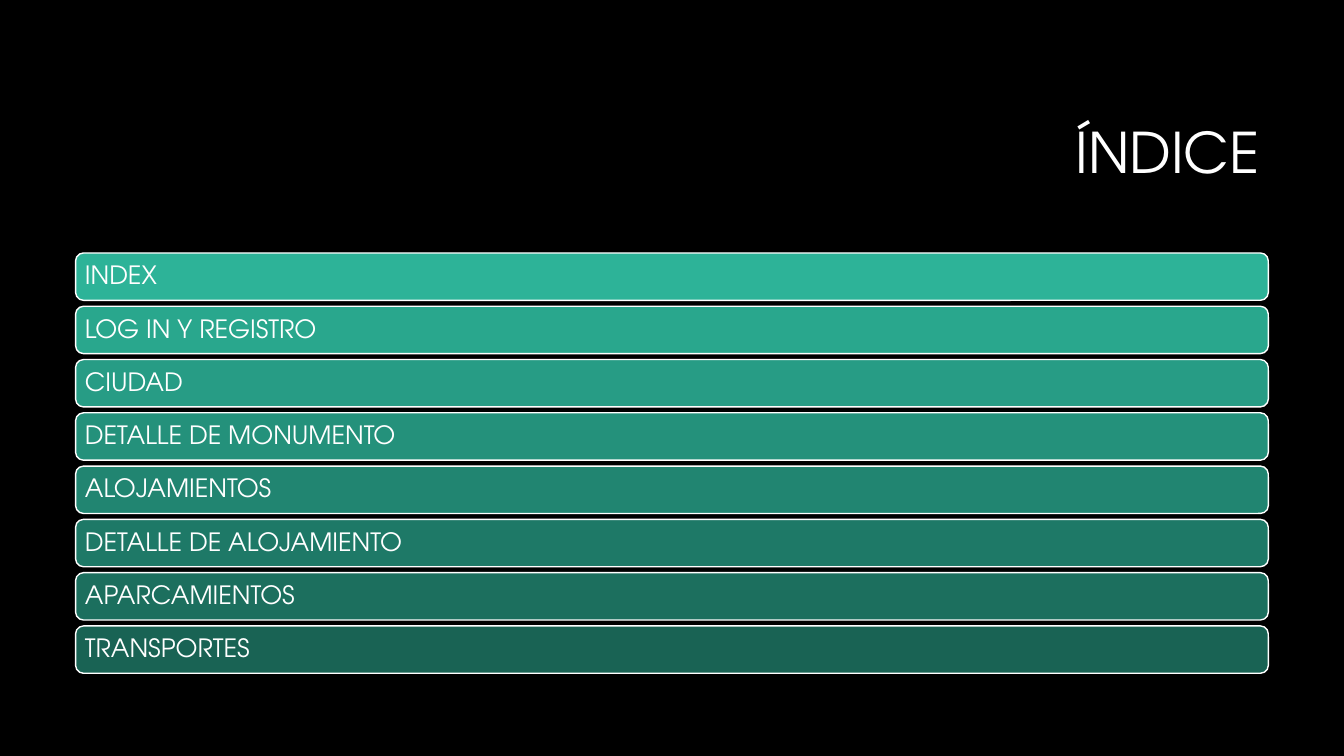
from pptx import Presentation
from pptx.dml.color import RGBColor
from pptx.enum.shapes import MSO_SHAPE
from pptx.enum.text import MSO_ANCHOR, PP_ALIGN
from pptx.oxml.ns import qn
from pptx.util import Inches, Pt
from lxml import etree

ROUNDED = MSO_SHAPE.ROUNDED_RECTANGLE
MIDDLE = MSO_ANCHOR.MIDDLE
LEFT, RIGHT = PP_ALIGN.LEFT, PP_ALIGN.RIGHT

# Content
TITLE = "ÍNDICE"
SECTIONS = [
    "INDEX",
    "LOG IN Y REGISTRO",
    "CIUDAD",
    "DETALLE DE MONUMENTO",
    "ALOJAMIENTOS",
    "DETALLE DE ALOJAMIENTO",
    "APARCAMIENTOS",
    "TRANSPORTES",
]

THEME = {
    "font": "TeX Gyre Adventor",
    "background": RGBColor.from_string("000000"),
    "text": RGBColor.from_string("FFFFFF"),
    "bar": RGBColor.from_string("32C7A9"),
    "title_size": Pt(40),
    "section_size": Pt(18),
    "outline": Pt(1),
}

# Layout in inches; opacity in percent, from first bar to last
SLIDE_WIDTH, SLIDE_HEIGHT = 13.33, 7.5
TITLE_BOX = (3.17, 0.84, 9.42, 1.41)
BAR_LEFT, BAR_WIDTH, BAR_HEIGHT = 0.75, 11.83, 0.47
FIRST_TOP, LAST_TOP = 2.51, 6.21
FIRST_OPACITY, LAST_OPACITY = 90, 50
BAR_INSET = 0.07


def apply(target, formats):
    for attribute, value in formats.items():
        setattr(target, attribute, value)


def write(shape, text, size, align):
    frame = shape.text_frame
    apply(frame, {"text": text, "word_wrap": True, "vertical_anchor": MIDDLE})
    paragraph = frame.paragraphs[0]
    apply(paragraph, {"alignment": align, "line_spacing": 0.9})
    font = paragraph.runs[0].font
    apply(font, {"name": THEME["font"], "size": size, "bold": False})
    font.color.rgb = THEME["text"]
    return frame


def add_bar(slide, text, top, opacity):
    box = (BAR_LEFT, top, BAR_WIDTH, BAR_HEIGHT)
    bar = slide.shapes.add_shape(ROUNDED, *map(Inches, box))
    bar.shadow.inherit = False
    bar.fill.solid()
    bar.fill.fore_color.rgb = THEME["bar"]
    color = bar.fill._xPr.find(qn("a:solidFill"))[0]
    etree.SubElement(color, qn("a:alpha")).set("val", str(round(opacity * 1000)))
    bar.line.color.rgb = THEME["text"]
    bar.line.width = THEME["outline"]
    frame = write(bar, text, THEME["section_size"], LEFT)
    sides = ("left", "top", "right", "bottom")
    apply(frame, {f"margin_{side}": Inches(BAR_INSET) for side in sides})


def main():
    deck = Presentation()
    apply(deck, {"slide_width": Inches(SLIDE_WIDTH),
                 "slide_height": Inches(SLIDE_HEIGHT)})
    slide = deck.slides.add_slide(deck.slide_layouts.get_by_name("Title Only"))
    slide.background.fill.solid()
    slide.background.fill.fore_color.rgb = THEME["background"]

    # Title
    heading = slide.shapes.title
    apply(heading, dict(zip(("left", "top", "width", "height"),
                            map(Inches, TITLE_BOX))))
    write(heading, TITLE, THEME["title_size"], RIGHT)

    # Section bars, evenly spaced and fading downwards
    for row, section in enumerate(SECTIONS):
        share = row / (len(SECTIONS) - 1)
        top = FIRST_TOP + share * (LAST_TOP - FIRST_TOP)
        opacity = FIRST_OPACITY + share * (LAST_OPACITY - FIRST_OPACITY)
        add_bar(slide, section, top, opacity)

    deck.save("out.pptx")


if __name__ == "__main__":
    main()
